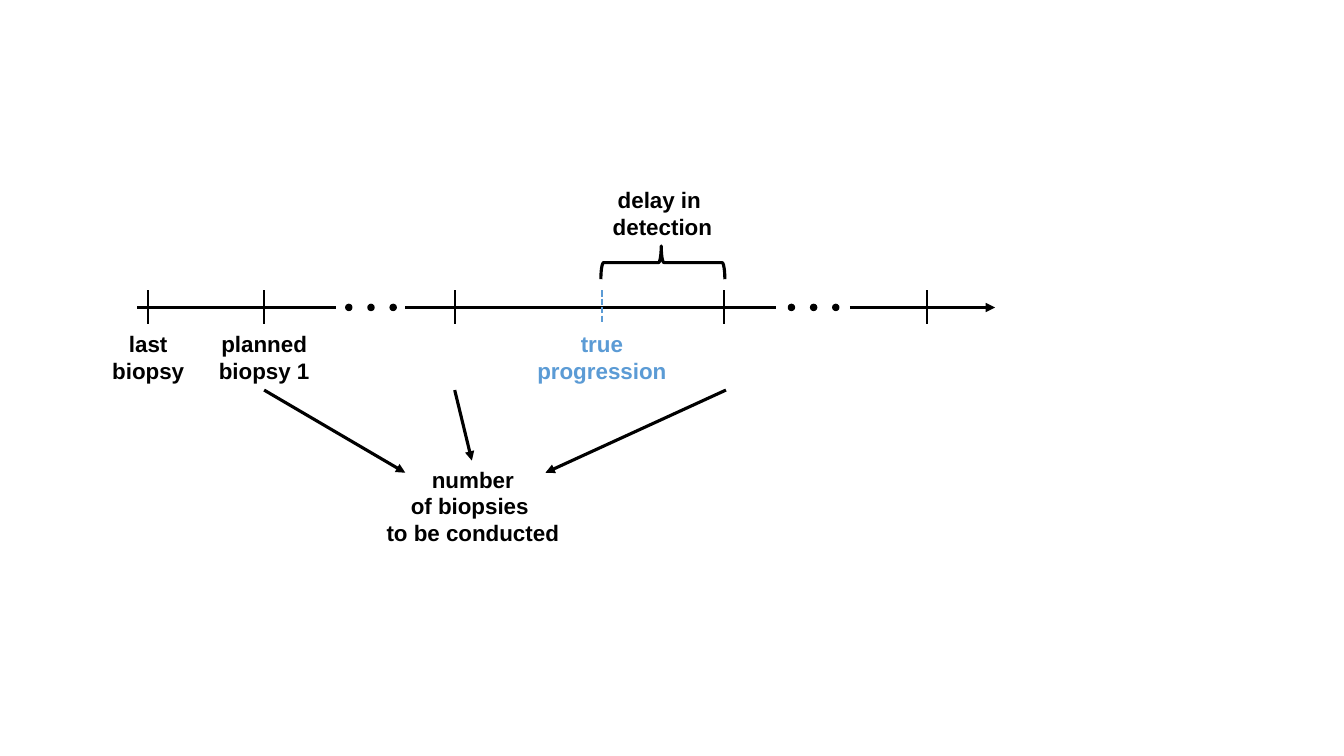
from dataclasses import dataclass

from lxml import etree
from pptx import Presentation
from pptx.dml.color import RGBColor
from pptx.enum.dml import MSO_LINE
from pptx.enum.shapes import MSO_CONNECTOR, MSO_SHAPE
from pptx.enum.text import MSO_AUTO_SIZE, PP_ALIGN
from pptx.oxml.ns import qn
from pptx.util import Inches, Pt

STRAIGHT = MSO_CONNECTOR.STRAIGHT
OVAL = MSO_SHAPE.OVAL
RIGHT_BRACE = MSO_SHAPE.RIGHT_BRACE
SHORT_DASH = MSO_LINE.SQUARE_DOT
FIT_TEXT = MSO_AUTO_SIZE.SHAPE_TO_FIT_TEXT
CENTER = PP_ALIGN.CENTER


@dataclass(frozen=True)
class Theme:
    ink: RGBColor = RGBColor(0x00, 0x00, 0x00)
    accent: RGBColor = RGBColor(0x5B, 0x9B, 0xD5)
    font: str = "Arial"
    label_size: Pt = Pt(16)
    axis_width: Pt = Pt(2.25)
    tick_width: Pt = Pt(1.5)
    dot_width: Pt = Pt(1)


class TimelineSlide:
    AXIS_Y = 3.05
    TICK_TOP, TICK_BOTTOM = 2.88, 3.21
    DOT_SIZE, DOT_STEP = 0.06, 0.22

    def __init__(self, slide, theme):
        self.shapes = slide.shapes
        self.theme = theme

    def line(self, start, end, width, color=None, arrow=False):
        connector = self.shapes.add_connector(
            STRAIGHT, *(Inches(value) for value in (*start, *end)))
        connector.line.color.rgb = color or self.theme.ink
        connector.line.width = width
        properties = connector._element.spPr
        if arrow:
            outline = properties.find(qn("a:ln"))
            etree.SubElement(outline, qn("a:tailEnd"), type="triangle")
        etree.SubElement(properties, qn("a:effectLst"))
        return connector

    def arrow(self, start, end):
        self.line(start, end, self.theme.axis_width, arrow=True)

    def axis(self, left, right, arrow=False):
        self.line((left, self.AXIS_Y), (right, self.AXIS_Y),
                  self.theme.axis_width, arrow=arrow)

    def tick(self, x, color=None):
        return self.line((x, self.TICK_TOP), (x, self.TICK_BOTTOM),
                         self.theme.tick_width, color)

    def shape(self, kind, left, top, width, height, line_width):
        shape = self.shapes.add_shape(
            kind, *(Inches(value) for value in (left, top, width, height)))
        shape.shadow.inherit = False
        shape.fill.background()
        shape.line.color.rgb = self.theme.ink
        shape.line.width = line_width
        return shape

    def ellipsis(self, left):
        """Draw three dots that stand for a gap in the axis."""
        for index in range(3):
            dot = self.shape(OVAL, left + index * self.DOT_STEP,
                             self.AXIS_Y - self.DOT_SIZE / 2,
                             self.DOT_SIZE, self.DOT_SIZE, self.theme.dot_width)
            dot.fill.solid()
            dot.fill.fore_color.rgb = self.theme.ink

    def brace(self, left, top, width, height):
        """Draw a brace with its tip up; the box is the one seen on the slide."""
        brace = self.shape(RIGHT_BRACE, left + (width - height) / 2,
                           top + (height - width) / 2, height, width,
                           self.theme.axis_width)
        brace.rotation = 270
        brace.adjustments[0] = 0.083
        brace.adjustments[1] = 0.487

    def label(self, lines, center, top, width, height=0.64, color=None):
        box = self.shapes.add_textbox(Inches(center - width / 2), Inches(top),
                                      Inches(width), Inches(height))
        frame = box.text_frame
        frame.word_wrap = False
        frame.auto_size = FIT_TEXT
        frame.text = "\n".join(lines)
        for paragraph in frame.paragraphs:
            paragraph.alignment = CENTER
            paragraph.font.name = self.theme.font
            paragraph.font.size = self.theme.label_size
            paragraph.font.bold = True
            paragraph.font.color.rgb = color or self.theme.ink


def main():
    presentation = Presentation()
    presentation.slide_width = Inches(13.33)
    presentation.slide_height = Inches(7.5)
    theme = Theme()
    timeline = TimelineSlide(
        presentation.slides.add_slide(presentation.slide_layouts[6]), theme)

    last, first, middle, progression, detection, final = (
        1.47, 2.62, 4.51, 5.97, 7.18, 9.19)

    timeline.axis(1.36, 3.33)
    timeline.axis(4.02, 7.7)
    timeline.axis(8.43, 9.87, arrow=True)
    for left in (3.43, 7.82):
        timeline.ellipsis(left)
    for x in (last, first, middle, detection, final):
        timeline.tick(x)
    timeline.tick(progression, theme.accent).line.dash_style = SHORT_DASH

    timeline.label(["last", "biopsy"], last, 3.23, 0.92)
    timeline.label(["planned", "biopsy 1"], first, 3.23, 1.11)
    timeline.label(["true", "progression"], progression, 3.23, 1.5,
                   color=theme.accent)

    timeline.arrow((first, 3.87), (4.02, 4.69))
    timeline.arrow((middle, 3.87), (4.68, 4.57))
    timeline.arrow((7.2, 3.87), (5.41, 4.69))
    timeline.label(["number", "of biopsies ", "to be conducted"],
                   4.69, 4.57, 1.93, 0.91)

    timeline.brace(5.96, 2.44, 1.23, 0.33)
    timeline.label(["delay in ", "detection"], 6.57, 1.8, 1.2)

    presentation.save("out.pptx")


if __name__ == "__main__":
    main()
